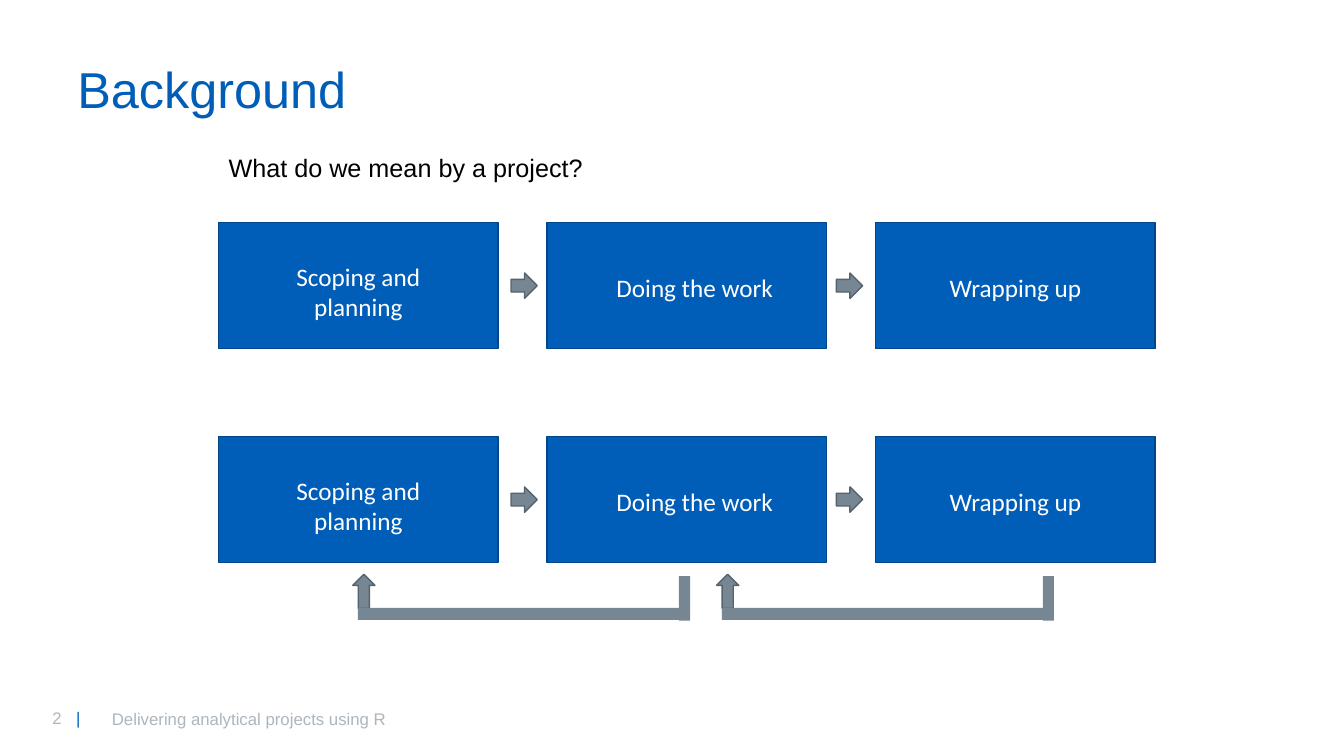
import pptx
import pptx.util
import pptx.dml.color
import pptx.enum.shapes
import pptx.enum.text
from lxml import etree

Cm = pptx.util.Cm
Pt = pptx.util.Pt
SHAPES = pptx.enum.shapes.MSO_SHAPE
ALIGN = pptx.enum.text.PP_ALIGN
ANCHOR = pptx.enum.text.MSO_ANCHOR

BLUE, DARK_BLUE = "005EB8", "004688"
GREY, DARK_GREY = "768692", "57636C"
FOOTER_GREY, WHITE, BLACK = "ADB6BE", "FFFFFF", "000000"


def color(hex_value):
    return pptx.dml.color.RGBColor.from_string(hex_value)


class SlideBuilder:
    """Holds the current slide and the style shared by its elements."""

    def __init__(self, slide):
        self.slide = slide
        self.font = "Arial"
        self.label_font = "Calibri"
        self.line_width = Pt(1)

    def text(self, runs, x, y, width, height, size=18, font=None,
             anchor=ANCHOR.TOP, tab=None, **paragraph_format):
        """Add a text box; runs is a list of (text, colour) pairs."""
        box = self.slide.shapes.add_textbox(Cm(x), Cm(y), Cm(width), Cm(height))
        frame = box.text_frame
        frame.word_wrap = True
        frame.vertical_anchor = anchor
        paragraph = frame.paragraphs[0]
        for name, value in paragraph_format.items():
            setattr(paragraph, name, value)
        if tab:
            namespace = pptx.oxml.ns.qn
            stops = etree.SubElement(paragraph._p.get_or_add_pPr(),
                                     namespace("a:tabLst"))
            etree.SubElement(stops, namespace("a:tab"),
                             pos=str(int(Cm(tab))), algn="l")
        for words, hex_value in runs:
            run = paragraph.add_run()
            run.text = words
            style = {"size": Pt(size), "name": font or self.font}
            for name, value in style.items():
                setattr(run.font, name, value)
            run.font.color.rgb = color(hex_value)

    def shape(self, kind, x, y, width, height, fill, line=None, rotation=0):
        shape = self.slide.shapes.add_shape(
            kind, Cm(x), Cm(y), Cm(width), Cm(height))
        shape.shadow.inherit = False
        shape.rotation = rotation
        shape.fill.solid()
        shape.fill.fore_color.rgb = color(fill)
        if line:
            shape.line.color.rgb = color(line)
            shape.line.width = self.line_width
        else:
            shape.line.fill.background()

    def process_row(self, top):
        """Add the three project stages with the arrows between them."""
        left, pitch = 5.51, 8.28
        stages = [("Scoping and planning", 6.63, 0.85, 1.8),
                  ("Doing the work", 15.11, 1.12, 1.02),
                  ("Wrapping up", 23.19, 1.12, 1.02)]
        for index, (label, label_left, drop, height) in enumerate(stages):
            self.shape(SHAPES.RECTANGLE, left + index * pitch, top,
                       7.04, 3.18, BLUE, DARK_BLUE)
            self.text([(label, WHITE)], label_left, top + drop, 4.8, height,
                      font=self.label_font, alignment=ALIGN.CENTER)
        for arrow_left in (12.88, 21.08):
            self.shape(SHAPES.RIGHT_ARROW, arrow_left, top + 1.27,
                       0.66, 0.64, GREY, DARK_GREY)

    def return_loop(self, left):
        """Add an arrow leading back to the stage before."""
        self.shape(SHAPES.RIGHT_ARROW, left - 0.28, 14.62, 0.86, 0.56,
                   GREY, DARK_GREY, rotation=270)
        self.shape(SHAPES.RECTANGLE, left, 15.32, 8.2, 0.3, GREY)
        self.shape(SHAPES.RECTANGLE, left + 7.67, 14.94, 1.12, 0.28,
                   GREY, rotation=90)


def main():
    deck = pptx.Presentation()
    deck.slide_width, deck.slide_height = Cm(33.87), Cm(19.05)
    builder = SlideBuilder(deck.slides.add_slide(deck.slide_layouts[6]))

    builder.text([("2\t", FOOTER_GREY), ("|", BLUE)],
                 1.07, 17.7, 2.39, 0.76, size=12, tab=0.6)
    builder.text([("Background", BLUE)], 1.7, 1.52, 24.33, 1.7,
                 size=36, line_spacing=0.9)
    builder.text([("Delivering analytical projects using R", FOOTER_GREY)],
                 2.57, 17.6, 21.21, 1.02, size=12, anchor=ANCHOR.MIDDLE)
    builder.text([("What do we mean by a project?", BLACK)],
                 5.51, 3.71, 12.19, 1.02)

    for row_top in (5.61, 11):
        builder.process_row(row_top)
    for loop_left in (9.02, 18.19):
        builder.return_loop(loop_left)

    deck.save("out.pptx")


if __name__ == "__main__":
    main()
